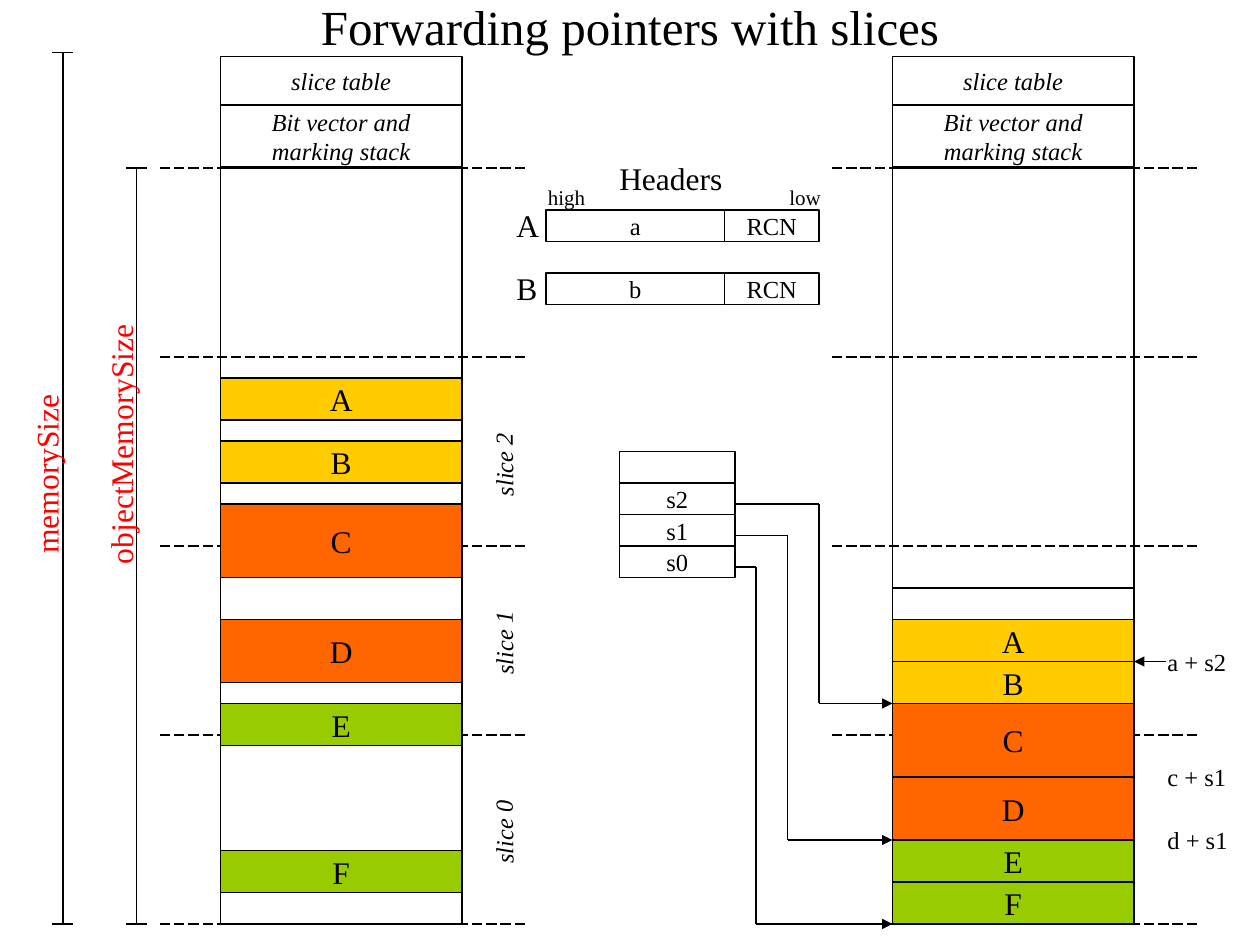
from itertools import pairwise
from typing import NamedTuple

from lxml.etree import SubElement
from pptx import Presentation
from pptx.dml.color import RGBColor
from pptx.enum.dml import MSO_LINE_DASH_STYLE as Dash
from pptx.enum.shapes import MSO_CONNECTOR as Connector, MSO_SHAPE as Shape
from pptx.enum.text import MSO_ANCHOR as Anchor, MSO_AUTO_SIZE as Fit, PP_ALIGN as Align
from pptx.oxml.ns import qn
from pptx.util import Cm, Pt

BLACK = RGBColor(0x00, 0x00, 0x00)
WHITE = RGBColor(0xFF, 0xFF, 0xFF)
RED = RGBColor(0xFF, 0x00, 0x00)
YELLOW = RGBColor(0xFF, 0xCC, 0x00)
ORANGE = RGBColor(0xFF, 0x66, 0x00)
GREEN = RGBColor(0x99, 0xCC, 0x00)

# All positions are counted in twelfths of an inch
UNIT = 2.54 / 12
COLUMN_WIDTH = 23
LEFT, RIGHT = 21, 85
HEAP_TOP, HEAP_BOTTOM, SLICE = 16, 88, 18


class Block(NamedTuple):
    name: str
    top: float
    height: float
    color: RGBColor


class Label(NamedTuple):
    words: str
    left: float
    top: float
    width: float
    height: float
    size: int = 14
    color: RGBColor = BLACK
    italic: bool = False
    rotation: float = 0


class Column(NamedTuple):
    left: float
    outline_height: float
    blocks: list[Block]


class Pointer(NamedTuple):
    name: str
    bend: float
    target: float


def grid(count: float) -> Cm:
    return Cm(count * UNIT)


def write(box, words: str, size: int, color: RGBColor = BLACK, italic: bool = False,
          align: Align = Align.LEFT, spaced: bool = True, **frame_format) -> None:
    frame = box.text_frame
    for name, value in frame_format.items():
        setattr(frame, name, value)
    para = frame.paragraphs[0]
    para.alignment = align
    para.space_before = Pt(size * 0.625 if spaced else 0)
    span = para.add_run()
    span.text = words
    for name, value in {"name": "Times New Roman", "size": Pt(size), "italic": italic}.items():
        setattr(span.font, name, value)
    span.font.color.rgb = color


def add_box(page, left: float, top: float, width: float, height: float, words: str = "",
            size: int = 14, fill: RGBColor | None = None, italic: bool = False,
            wrap: bool = False) -> None:
    box = page.shapes.add_shape(Shape.RECTANGLE, *map(grid, (left, top, width, height)))
    box.shadow.inherit = False
    if fill is None:
        box.fill.background()
    else:
        box.fill.solid()
        box.fill.fore_color.rgb = fill
    box.line.color.rgb = BLACK
    box.line.width = Pt(0.75)
    if words:
        write(box, words, size, italic=italic, align=Align.CENTER,
              word_wrap=wrap, vertical_anchor=Anchor.MIDDLE)


def add_label(page, label: Label) -> None:
    box = page.shapes.add_textbox(
        *map(grid, (label.left, label.top, label.width, label.height)))
    box.rotation = label.rotation
    write(box, label.words, label.size, label.color, label.italic,
          word_wrap=True, auto_size=Fit.SHAPE_TO_FIT_TEXT)


def add_line(page, start: tuple, end: tuple, dashed: bool = False, arrow: bool = False) -> None:
    line = page.shapes.add_connector(Connector.STRAIGHT, *map(grid, (*start, *end)))
    line.line.color.rgb = BLACK
    line.line.width = Pt(0.75)
    if dashed:
        line.line.dash_style = Dash.LONG_DASH
    properties = line._element.spPr
    if arrow:
        SubElement(properties.find(qn("a:ln")), qn("a:tailEnd"), type="triangle")
    SubElement(properties, qn("a:effectLst"))


def add_measure(page, x: float, top: float) -> None:
    add_line(page, (x, top), (x, HEAP_BOTTOM))
    for y in (top, HEAP_BOTTOM):
        add_line(page, (x - 1, y), (x + 1, y))


def add_column(page, column: Column) -> None:
    left = column.left
    add_box(page, left, HEAP_TOP, COLUMN_WIDTH, column.outline_height)
    add_box(page, left, 10, COLUMN_WIDTH, 5.9, "Bit vector and marking stack",
            italic=True, wrap=True)
    add_box(page, left, 5.4, COLUMN_WIDTH, 4.6, "slice table", italic=True, wrap=True)
    for y in range(HEAP_TOP, HEAP_BOTTOM + 1, SLICE):
        add_line(page, (left + 29, y), (left - 6, y), dashed=True)
    for block in column.blocks:
        add_box(page, left, block.top, COLUMN_WIDTH, block.height, block.name, 18, block.color)


def stack(blocks: list[Block], top: float) -> list[Block]:
    """Move the blocks together, one below the other."""
    packed = []
    for block in blocks:
        packed.append(block._replace(top=top))
        top += block.height
    return packed


OBJECTS = [
    Block("A", 36, 4, YELLOW), Block("B", 42, 4, YELLOW),
    Block("C", 48, 7, ORANGE), Block("D", 59, 6, ORANGE),
    Block("E", 67, 4, GREEN), Block("F", 81, 4, GREEN),
]
FREE = [Block("", 40, 8, WHITE), Block("", 54, 13, WHITE), Block("", 71, 17, WHITE)]
COLUMNS = [Column(LEFT, 22, FREE + OBJECTS), Column(RIGHT, 54, stack(OBJECTS, 59))]
POINTERS = [Pointer("s2", 78, 67), Pointer("s1", 75, 80), Pointer("s0", 72, HEAP_BOTTOM)]
SLICE_TOPS = [76.4, 58.4, 41.4]
LABELS = [
    Label("memorySize", -9.1, 38, 27, 4.8, 18, RED, rotation=270),
    Label("objectMemorySize", -2, 39, 27, 4.8, 18, RED, rotation=270),
    *(Label(f"slice {number}", 43, top, 10, 4.1, italic=True, rotation=269.4)
      for number, top in enumerate(SLICE_TOPS)),
    Label("Headers", 57.8, 14.6, 14, 4.8, 18),
    Label("high", 51, 17, 7, 3.6, 12),
    Label("low", 74, 17, 7, 3.6, 12),
    Label("a + s2", 110, 61, 9.5, 4.1),
    Label("c + s1", 110, 72, 9.5, 4.1),
    Label("d + s1", 110, 78, 9.5, 4.1),
]


def main() -> None:
    deck = Presentation()
    deck.slide_width, deck.slide_height = grid(120), grid(90)
    page = deck.slides.add_slide(deck.slide_layouts[6])

    # Title
    title = page.shapes.add_textbox(*map(grid, (9, -0.9, 102, 6.8)))
    write(title, "Forwarding pointers with slices", 28, align=Align.CENTER, spaced=False,
          word_wrap=True, vertical_anchor=Anchor.MIDDLE)

    # Memory before and after, with the size measures
    add_measure(page, 6, 5)
    add_measure(page, 13, HEAP_TOP)
    for column in COLUMNS:
        add_column(page, column)
    add_line(page, (RIGHT, 56), (RIGHT + COLUMN_WIDTH, 56))

    # Slice table entries and where they point
    add_box(page, 59, 43, 11, 3)
    for row, pointer in enumerate(POINTERS, start=1):
        top = 43 + 3 * row
        add_box(page, 59, top, 11, 3, pointer.name)
        corners = [(70, top + 2), (pointer.bend, top + 2),
                   (pointer.bend, pointer.target), (RIGHT, pointer.target)]
        for start, end in pairwise(corners):
            add_line(page, start, end, arrow=end == corners[-1])

    # Object headers
    for name, top in (("A", 20), ("B", 26)):
        add_label(page, Label(name, 48, top - 1, 5, 4.8, 18))
        add_box(page, 52, top, 17, 3, name.lower())
        add_box(page, 69, top, 9, 3, "RCN")

    # Labels and the forwarded address of B
    for label in LABELS:
        add_label(page, label)
    add_line(page, (111, 63), (RIGHT + COLUMN_WIDTH, 63), arrow=True)

    deck.save("out.pptx")


if __name__ == "__main__":
    main()
